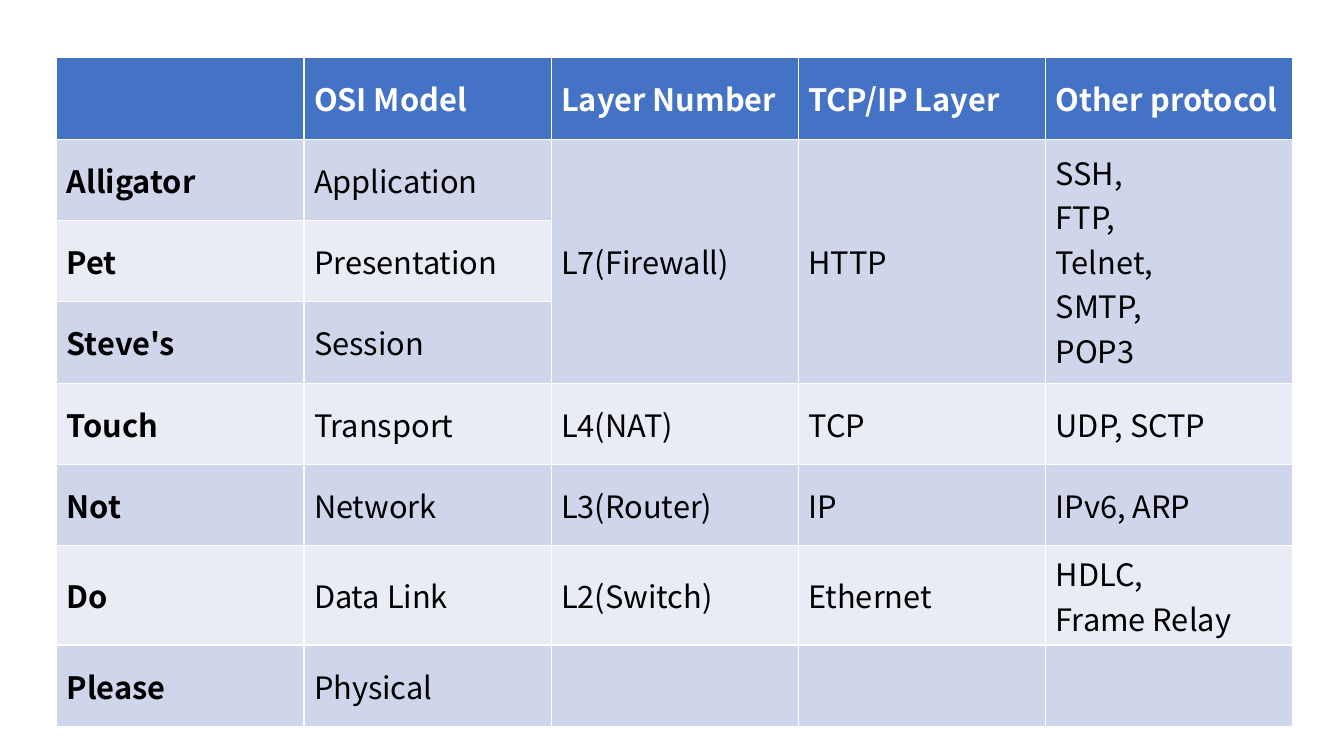
from pptx import Presentation
from pptx import util as u
from pptx.dml.color import RGBColor
from pptx.enum import text

PX = u.Inches(1) / 192
FONT = "Noto Sans CJK KR"
HEADER_FILL = "4472C4"
BAND_FILLS = ["CFD5EA", "E9EBF5"]
COLUMN_WIDTH, ROW_HEIGHT = 471, 155

LAYERS = [
    ["", "OSI Model", "Layer Number", "TCP/IP Layer", "Other protocol"],
    ["Alligator", "Application", "L7(Firewall)", "HTTP", "SSH,\nFTP,\nTelnet,\nSMTP,\nPOP3"],
    ["Pet", "Presentation", "", "", ""],
    ["Steve's", "Session", "", "", ""],
    ["Touch", "Transport", "L4(NAT)", "TCP", "UDP, SCTP"],
    ["Not", "Network", "L3(Router)", "IP", "IPv6, ARP"],
    ["Do", "Data Link", "L2(Switch)", "Ethernet", "HDLC,\nFrame Relay"],
    ["Please", "Physical", "", "", ""],
]


def px(length):
    return u.Emu(round(length * PX))


def color(value):
    return RGBColor.from_string(value)


def fill_cell(cell, words, fill, font_color, bold):
    cell.fill.solid()
    cell.fill.fore_color.rgb = color(fill)
    cell.vertical_anchor = text.MSO_ANCHOR.MIDDLE
    cell.text = words
    for paragraph in cell.text_frame.paragraphs:
        paragraph.font.name = FONT
        paragraph.font.size = u.Pt(22)
        paragraph.font.bold = bold
        paragraph.font.color.rgb = color(font_color)


def add_layer_table(slide, left, top, width, height):
    # The default table style supplies the white borders
    table = slide.shapes.add_table(
        len(LAYERS), len(LAYERS[0]), px(left), px(top), px(width), px(height)
    ).table

    # Header row, then banded body rows with a bold first column
    for row, entries in enumerate(LAYERS):
        is_header = row == 0
        fill = HEADER_FILL if is_header else BAND_FILLS[(row - 1) % 2]
        font_color = "FFFFFF" if is_header else "000000"
        for column, words in enumerate(entries):
            fill_cell(table.cell(row, column), words, fill, font_color,
                      bold=is_header or column == 0)

    # The top three layers share their number and protocols
    for column in range(2, 5):
        table.cell(1, column).merge(table.cell(3, column))


def main():
    presentation = Presentation()
    presentation.slide_width, presentation.slide_height = px(2560), px(1440)
    slide = presentation.slides.add_slide(presentation.slide_layouts[6])
    add_layer_table(slide, 108, 110,
                    COLUMN_WIDTH * len(LAYERS[0]), ROW_HEIGHT * len(LAYERS))
    presentation.save("out.pptx")


if __name__ == "__main__":
    main()
